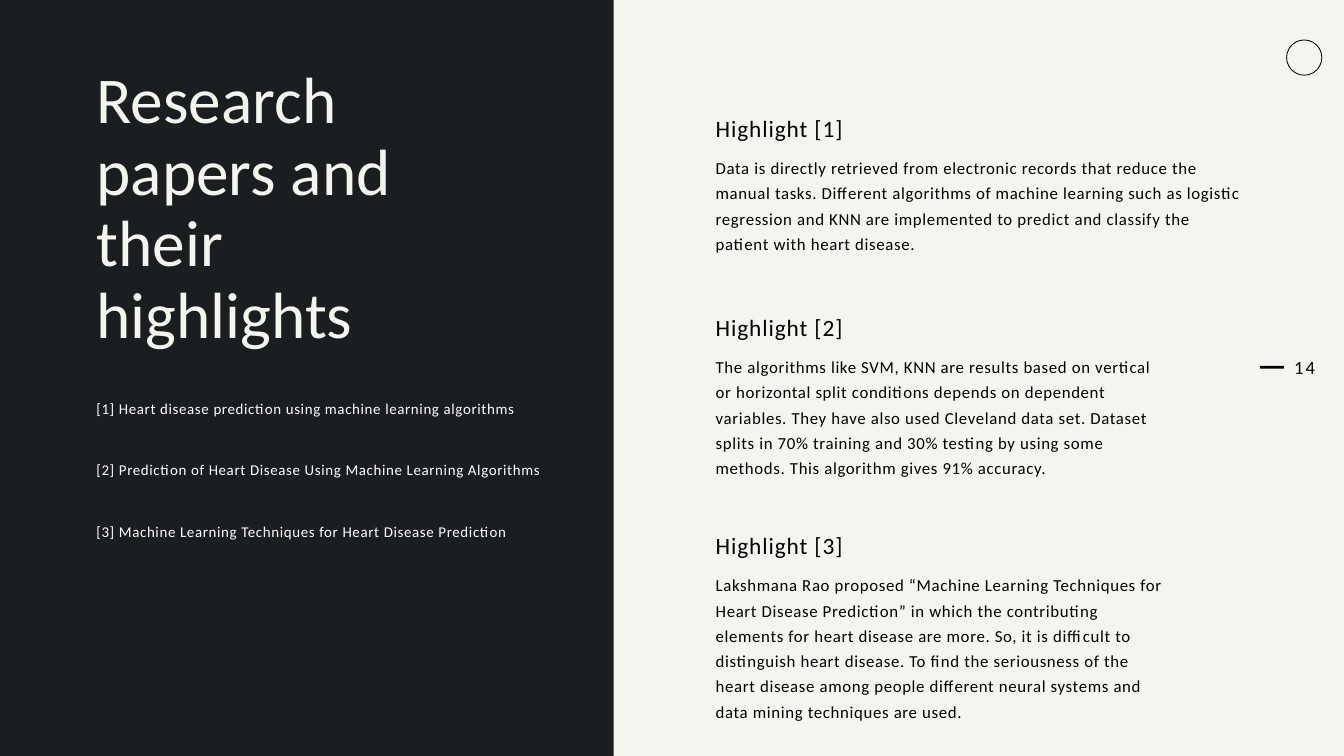
"""Build a slide of research papers and their highlights."""
import pptx
import pptx.dml.color
import pptx.enum.shapes
import pptx.enum.text
import pptx.util

Pt = pptx.util.Pt
SHAPES = pptx.enum.shapes.MSO_SHAPE
ALIGN = pptx.enum.text.PP_ALIGN

COLOURS = {"dark": "1B1E20", "cream": "F5F5EF", "black": "000000", "white": "FFFFFF"}

FORMATS = {
    "title": {"size": 70, "line": 77, "colour": "cream", "spacing": 0},
    "heading": {"size": 25, "line": 32.5, "colour": "black", "spacing": 1},
    "body": {"size": 18, "line": 27, "colour": "black", "spacing": 0.7},
    "reference": {"size": 16, "line": 27, "colour": "white", "spacing": 0.7},
    "number": {"size": 20, "line": 24, "colour": "black", "spacing": 2},
}

REFERENCES = [
    "Heart disease prediction using machine learning algorithms",
    "Prediction of Heart Disease Using Machine Learning Algorithms",
    "Machine Learning Techniques for Heart Disease Prediction",
]

HIGHLIGHTS = [
    (119.5, 569.5, 106.5,
     "Data is directly retrieved from electronic records that reduce the manual tasks. "
     "Different algorithms of machine learning such as logistic regression and KNN are "
     "implemented to predict and classify the patient with heart disease."),
    (332.6, 480, 161,
     "The algorithms like SVM, KNN are results based on vertical or horizontal split "
     "conditions depends on dependent variables. They have also used Cleveland data set. "
     "Dataset splits in 70% training and 30% testing by using some methods. "
     "This algorithm gives 91% accuracy."),
    (566.6, 480, 188,
     "Lakshmana Rao proposed “Machine Learning Techniques for Heart Disease Prediction” "
     "in which the contributing elements for heart disease are more. So, it is difficult "
     "to distinguish heart disease. To find the seriousness of the heart disease among "
     "people different neural systems and data mining techniques are used."),
]


def colour(name):
    """Return the named colour."""
    return pptx.dml.color.RGBColor.from_string(COLOURS[name])


def add_block(slide, kind, box, fill=None, line=None):
    """Add a preset shape with an optional fill and outline."""
    shape = slide.shapes.add_shape(kind, *map(Pt, box))
    shape.shadow.inherit = False
    for part, name in ((shape.fill, fill), (shape.line.fill, line)):
        if name:
            part.solid()
            part.fore_color.rgb = colour(name)
        else:
            part.background()
    if line:
        shape.line.width = Pt(0.9)


def add_text(slide, text, box, style, alignment=ALIGN.LEFT):
    """Add a wrapped text box in one of the named formats."""
    values = FORMATS[style]
    frame = slide.shapes.add_textbox(*map(Pt, box)).text_frame
    settings = {
        "word_wrap": True,
        "auto_size": pptx.enum.text.MSO_AUTO_SIZE.SHAPE_TO_FIT_TEXT,
        "margin_left": 0, "margin_top": 0, "margin_right": 0, "margin_bottom": 0,
    }
    for name, value in settings.items():
        setattr(frame, name, value)
    paragraph = frame.paragraphs[0]
    for name, value in {"alignment": alignment, "line_spacing": Pt(values["line"])}.items():
        setattr(paragraph, name, value)
    run = paragraph.add_run()
    run.text = text
    for name, value in {"name": "Calibri", "size": Pt(values["size"])}.items():
        setattr(run.font, name, value)
    run.font.color.rgb = colour(values["colour"])
    run._r.get_or_add_rPr().set("spc", str(round(values["spacing"] * 100)))


def add_highlight(slide, number, top, width, height, text):
    """Add a numbered heading with its body text below."""
    left = 766.8
    add_text(slide, f"Highlight [{number}]", (left, top, 309.6, 31), "heading")
    add_text(slide, text, (left, top + 44.3, width, height), "body")


def main():
    """Build and save the slide."""
    presentation = pptx.Presentation()
    presentation.slide_width, presentation.slide_height = Pt(1440), Pt(810)
    slide = presentation.slides.add_slide(presentation.slide_layouts[6])
    slide.background.fill.solid()
    slide.background.fill.fore_color.rgb = colour("dark")

    add_block(slide, SHAPES.RECTANGLE, (657.5, -12, 790, 836), fill="cream")
    add_block(slide, SHAPES.OVAL, (1378.5, 42.8, 37.8, 37.8), line="black")
    add_text(slide, "14", (1373, 381, 36, 24.5), "number", ALIGN.RIGHT)
    add_block(slide, SHAPES.RECTANGLE, (1350, 392, 25.5, 2.9), fill="black")

    add_text(slide, "Research papers and their highlights", (103.5, 69, 407.5, 256), "title")
    for index, reference in enumerate(REFERENCES):
        box = (103.2, 419.8 + 66.2 * index, 480, 51)
        add_text(slide, f"[{index + 1}] {reference}", box, "reference")
    for number, highlight in enumerate(HIGHLIGHTS, 1):
        add_highlight(slide, number, *highlight)

    presentation.save("out.pptx")


if __name__ == "__main__":
    main()
